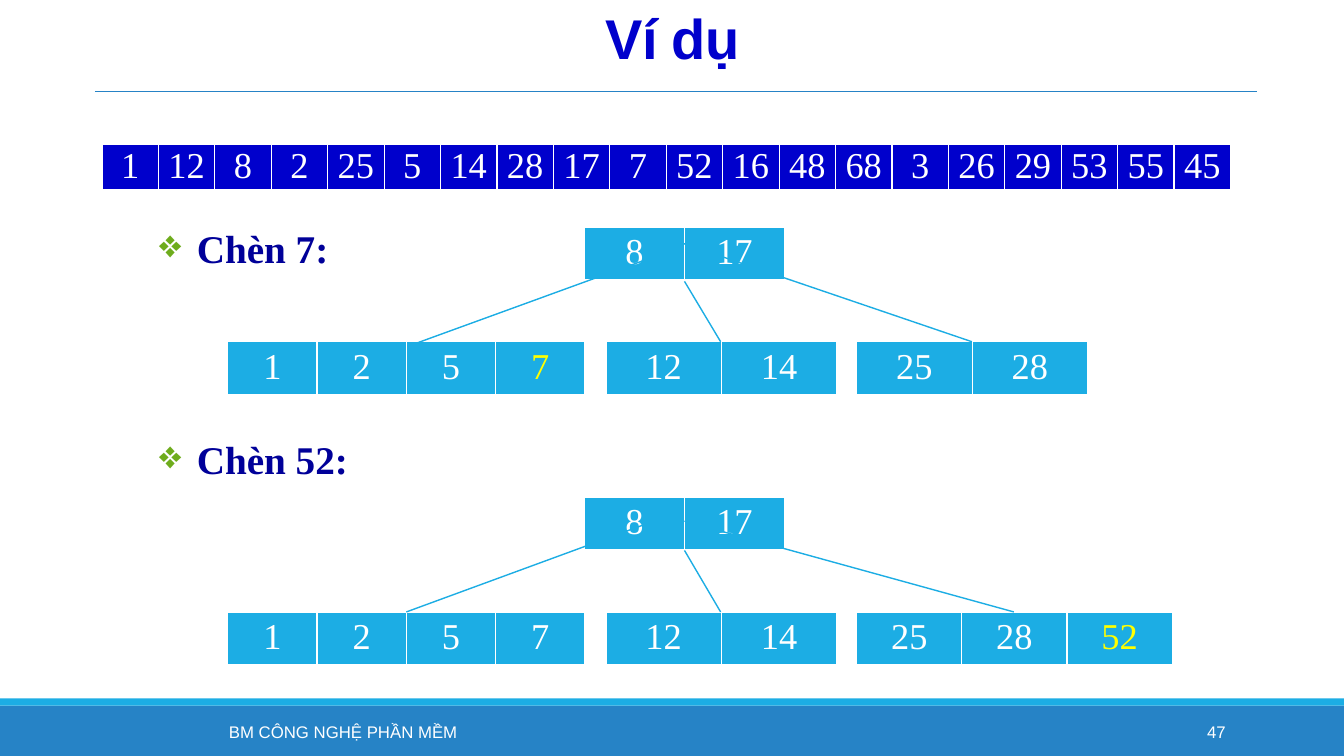
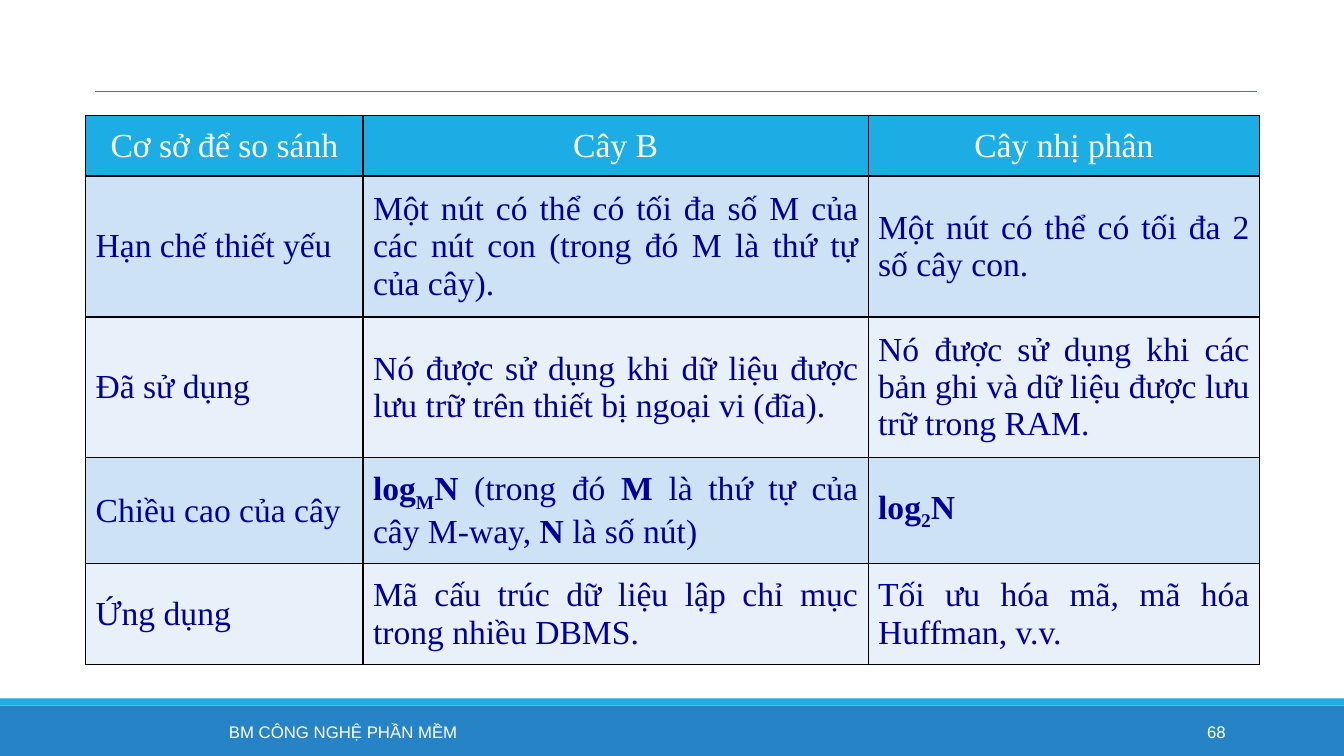
from lxml import etree
from pptx import Presentation
from pptx.dml.color import RGBColor
from pptx.enum.shapes import MSO_CONNECTOR, MSO_SHAPE
from pptx.enum.text import MSO_ANCHOR, PP_ALIGN
from pptx.oxml.ns import qn
from pptx.util import Cm, Pt

LEFT, CENTER, RIGHT, JUSTIFY = PP_ALIGN.LEFT, PP_ALIGN.CENTER, PP_ALIGN.RIGHT, PP_ALIGN.JUSTIFY
TOP, MIDDLE = MSO_ANCHOR.TOP, MSO_ANCHOR.MIDDLE
RECTANGLE, STRAIGHT = MSO_SHAPE.RECTANGLE, MSO_CONNECTOR.STRAIGHT
TITLE_ONLY, BLANK = 5, 6

SERIF, SANS = "Times New Roman", "Arial"
WHITE, BLACK, YELLOW = "FFFFFF", "000000", "FFFF00"
SKY, BLUE, ROYAL, NAVY, GREEN = "1CADE4", "2683C6", "0000CC", "000099", "6EAC1C"
ROW_FILLS = ("CDE3F5", "E8F1FA")
WHITE_BORDERS = {"L": (WHITE, 1), "R": (WHITE, 1), "T": (WHITE, 1), "B": (WHITE, 3)}
BLACK_BORDERS = {side: (BLACK, 1) for side in "LRTB"}

SLIDE_WIDTH, SLIDE_HEIGHT = 33.87, 19.05
FOOTER = "BM CÔNG NGHỆ PHẦN MỀM"

TITLE = "Ví dụ"
KEYS = [1, 12, 8, 2, 25, 5, 14, 28, 17, 7, 52, 16, 48, 68, 3, 26, 29, 53, 55, 45]
KEYS_BOX = (2.57, 3.63, 28.45, 1.19)
NODE_HEIGHT, LEAF_DROP = 1.35, 2.89
ROOT = (14.73, 2.52, [8, 17])
INSERTIONS = [
    {"heading": "Chèn 7:", "heading_top": 5.54, "top": 5.72, "new": 7,
     "leaves": [(5.74, 2.25, [1, 2, 5, 7]), (15.27, 2.91, [12, 14]), (21.59, 2.91, [25, 28])],
     "links": [(16.26, 6.55, 10.46, 8.66), (17.25, 7.09, 18.16, 8.61), (16.97, 6.05, 24.49, 8.61)]},
    {"heading": "Chèn 52:", "heading_top": 10.85, "top": 12.53, "new": 52,
     "leaves": [(5.74, 2.25, [1, 2, 5, 7]), (15.27, 2.91, [12, 14]), (21.59, 2.65, [25, 28, 52])],
     "links": [(16.48, 13.13, 10.24, 15.42), (17.25, 13.87, 18.16, 15.42),
               (17.25, 13.13, 25.55, 15.42)]},
]

COMPARISON_AT = (2.16, 2.92)
COMPARISON_WIDTHS = (6.99, 12.73, 9.86)
COMPARISON_HEIGHTS = (1.47, 3.34, 3.34, 2.55, 2.39)
COMPARISON = [
    ("Cơ sở để so sánh", "Cây B", "Cây nhị phân"),
    ("Hạn chế thiết yếu",
     "Một nút có thể có tối đa số M của các nút con (trong đó M là thứ tự của cây).",
     "Một nút có thể có tối đa 2 số cây con."),
    ("Đã sử dụng",
     "Nó được sử dụng khi dữ liệu được lưu trữ trên thiết bị ngoại vi (đĩa).",
     "Nó được sử dụng khi các bản ghi và dữ liệu được lưu trữ trong RAM."),
    ("Chiều cao của cây",
     [("log", "bold"), ("M", "sub"), ("N", "bold"), (" (trong đó ", ""), ("M", "bold"),
      (" là thứ tự của cây M-way, ", ""), ("N", "bold"), (" là số nút)", "")],
     [("log", "bold"), ("2", "sub"), ("N", "bold")]),
    ("Ứng dụng",
     "Mã cấu trúc dữ liệu lập chỉ mục trong nhiều DBMS.",
     "Tối ưu hóa mã, mã hóa Huffman, v.v."),
]


def color(value):
    return RGBColor.from_string(value)


def lengths(*values):
    return [Cm(value) for value in values]


def write(frame, text, size=12, font=SANS, fill=WHITE, bold=False, align=LEFT,
          anchor=TOP, line_spacing=None, spacing=None, bullet=None):
    frame.word_wrap = True
    frame.vertical_anchor = anchor
    para = frame.paragraphs[0]
    para.alignment = align
    if line_spacing:
        para.line_spacing = line_spacing
    if bullet:
        add_bullet(para, bullet)
    for part, style in [(text, "")] if isinstance(text, str) else text:
        span = para.add_run()
        span.text = part
        span.font.name, span.font.size = font, Pt(size)
        span.font.bold = bold or style in ("bold", "sub")
        span.font.color.rgb = color(fill)
        if style == "sub":
            span._r.get_or_add_rPr().set("baseline", "-25000")
        if spacing:
            span._r.get_or_add_rPr().set("spc", str(spacing))


def add_bullet(para, bullet):
    properties = para._p.get_or_add_pPr()
    properties.set("marL", str(Cm(0.95)))
    properties.set("indent", str(Cm(-0.95)))
    tint = etree.SubElement(properties, qn("a:buClr"))
    etree.SubElement(tint, qn("a:srgbClr"), val=GREEN)
    etree.SubElement(properties, qn("a:buChar"), char=bullet)


def add_text(page, place, text, **style):
    box = page.shapes.add_textbox(*lengths(*place))
    write(box.text_frame, text, **style)


def add_bar(page, top, height, fill):
    bar = page.shapes.add_shape(RECTANGLE, *lengths(0, top, SLIDE_WIDTH, height))
    bar.shadow.inherit = False
    bar.fill.solid()
    bar.fill.fore_color.rgb = color(fill)
    bar.line.fill.background()


def add_line(page, ends, stroke, width):
    line = page.shapes.add_connector(STRAIGHT, *lengths(*ends))
    line.line.color.rgb = color(stroke)
    line.line.width = Pt(width)
    etree.SubElement(line._element.spPr, qn("a:effectLst"))


def add_grid(page, at, widths, heights):
    grid = page.shapes.add_table(len(heights), len(widths),
                                 *lengths(*at, sum(widths), sum(heights))).table
    grid.first_row = grid.horz_banding = False
    for column, width in zip(grid.columns, widths):
        column.width = Cm(width)
    for row, height in zip(grid.rows, heights):
        row.height = Cm(height)
    return grid


def fill_cell(cell, text, background, borders, margins=(0.25, 0.13), text_fill=WHITE, **style):
    cell.margin_left = cell.margin_right = Cm(margins[0])
    cell.margin_top = cell.margin_bottom = Cm(margins[1])
    anchor = style.pop("anchor", MIDDLE)
    write(cell.text_frame, text, font=SERIF, fill=text_fill, **style)
    cell.vertical_anchor = anchor
    properties = cell._tc.get_or_add_tcPr()
    for side, (stroke, width) in borders.items():
        edge = etree.SubElement(properties, qn("a:ln" + side), w=str(Pt(width)))
        solid = etree.SubElement(edge, qn("a:solidFill"))
        etree.SubElement(solid, qn("a:srgbClr"), val=stroke)
    cell.fill.solid()
    cell.fill.fore_color.rgb = color(background)


def add_keys(page, at, width, height, keys, background=SKY, new=None, **style):
    grid = add_grid(page, at, [width] * len(keys), [height])
    for index, key in enumerate(keys):
        fill_cell(grid.cell(0, index), str(key), background, WHITE_BORDERS, size=26,
                  align=CENTER, text_fill=YELLOW if key == new else WHITE, **style)


def add_page(deck, layout, number):
    page = deck.slides.add_slide(deck.slide_layouts[layout])
    add_bar(page, 17.78, 1.27, BLUE)
    add_bar(page, 17.6, 0.18, SKY)
    add_line(page, (2.39, 2.31, 31.67, 2.31), BLUE, 0.5)
    add_text(page, (3.05, 17.93, 11.2, 1.02), FOOTER, align=CENTER, anchor=MIDDLE)
    add_text(page, (27.51, 17.93, 3.63, 1.02), number, align=RIGHT, anchor=MIDDLE)
    return page


def add_insertion(page, insertion):
    add_text(page, (3.76, insertion["heading_top"], 26.37, 1.4), insertion["heading"], size=28,
             font=SERIF, fill=NAVY, bold=True, align=JUSTIFY, bullet="❖")
    top = insertion["top"]
    left, width, keys = ROOT
    add_keys(page, (left, top), width, NODE_HEIGHT, keys, anchor=TOP)
    for left, width, keys in insertion["leaves"]:
        add_keys(page, (left, top + LEAF_DROP), width, NODE_HEIGHT, keys,
                 new=insertion["new"], anchor=TOP)
    for ends in insertion["links"]:
        add_line(page, ends, SKY, 1)


def build_example(deck):
    page = add_page(deck, TITLE_ONLY, "47")
    title = page.shapes.title
    title.left, title.top, title.width, title.height = lengths(2.16, 0.1, 29.57, 1.96)
    write(title.text_frame, TITLE, size=40, fill=ROYAL, bold=True, align=CENTER,
          anchor=MIDDLE, line_spacing=0.85, spacing=-50)
    for insertion in INSERTIONS:
        add_insertion(page, insertion)
    left, top, width, height = KEYS_BOX
    add_keys(page, (left, top), width / len(KEYS), height, KEYS, background=ROYAL,
             margins=(0.15, 0), line_spacing=0.9)


def build_comparison(deck):
    page = add_page(deck, BLANK, "68")
    grid = add_grid(page, COMPARISON_AT, COMPARISON_WIDTHS, COMPARISON_HEIGHTS)
    for row, texts in enumerate(COMPARISON):
        header = row == 0
        background = SKY if header else ROW_FILLS[(row - 1) % 2]
        for column, text in enumerate(texts):
            fill_cell(grid.cell(row, column), text, background, BLACK_BORDERS,
                      margins=(0.25, 0.25), text_fill=WHITE if header else NAVY,
                      size=24, align=CENTER if header else JUSTIFY)


def main():
    deck = Presentation()
    deck.slide_width, deck.slide_height = lengths(SLIDE_WIDTH, SLIDE_HEIGHT)
    build_example(deck)
    build_comparison(deck)
    deck.save("out.pptx")


if __name__ == "__main__":
    main()
